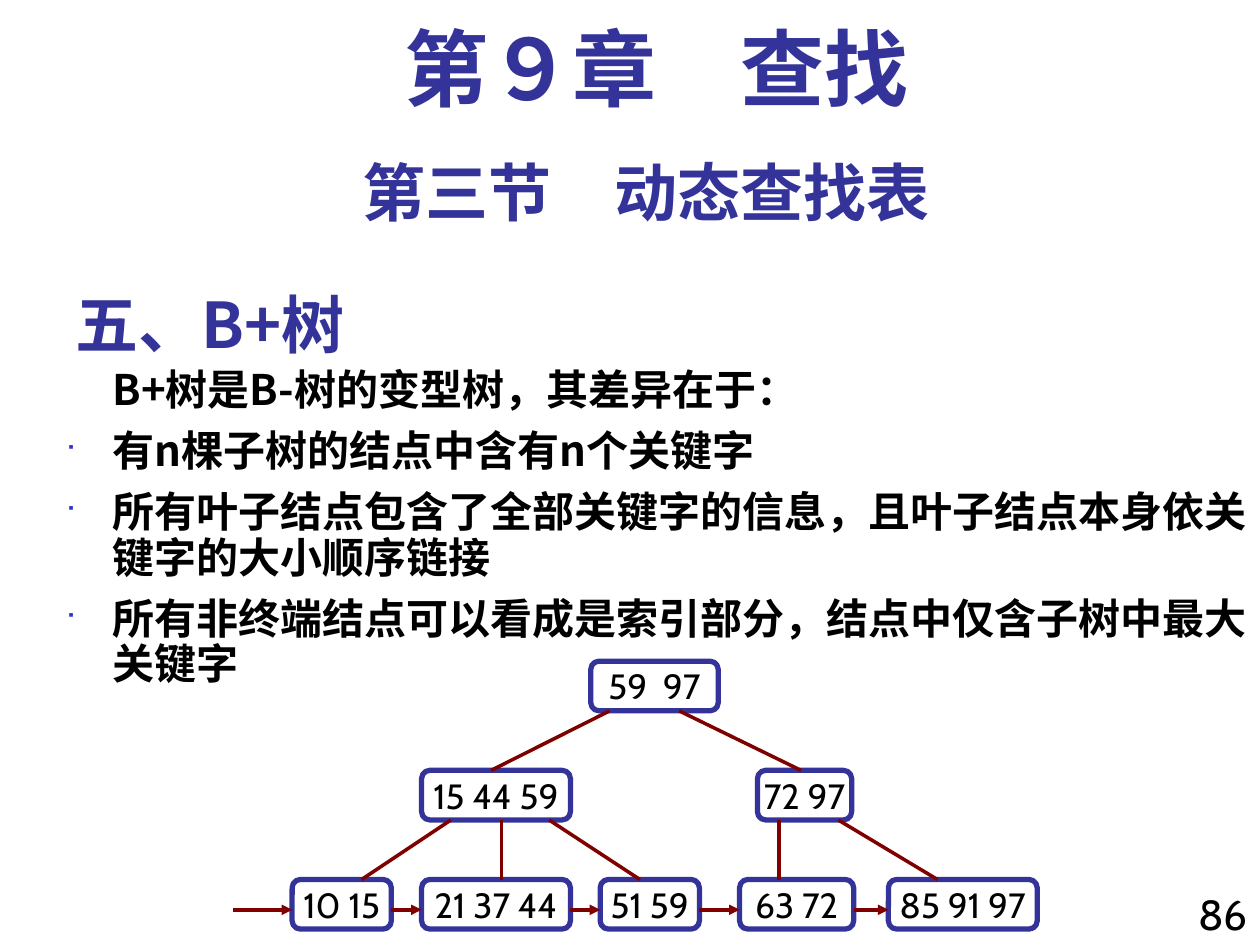
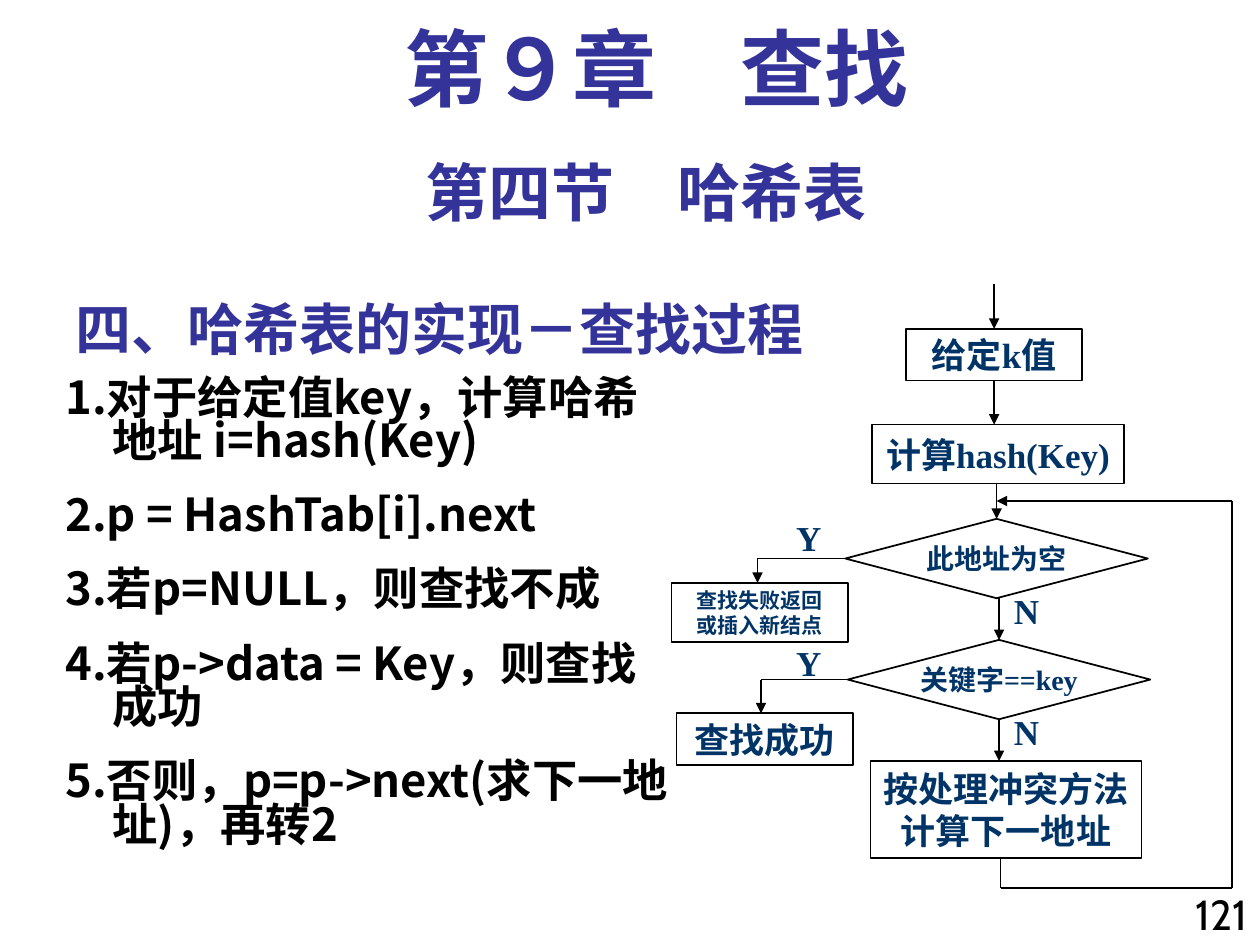
from itertools import pairwise

from lxml.etree import SubElement
from pptx import Presentation
from pptx.dml.color import RGBColor
from pptx.enum.shapes import MSO_CONNECTOR, MSO_SHAPE
from pptx.enum.text import MSO_ANCHOR, MSO_AUTO_SIZE, PP_ALIGN
from pptx.oxml.ns import qn
from pptx.util import Cm, Pt

COLORS = {
    "heading": "333399",
    "body": "000000",
    "bullet": "3333CC",
    "branch": "800000",
    "flow_text": "003366",
    "flow_line": "000000",
}
SANS, SERIF, CHINESE = "Cabin", "Times New Roman", "Noto Sans CJK SC"
CHAPTER = "第９章　查找"

TREE_SLIDE = {
    "section": "第三节　动态查找表",
    "title": "五、B+树",
    "title_size": 36,
    "title_width": 17.35,
    "number": "86",
}
TREE_INTRO = "B+树是B-树的变型树，其差异在于："
TREE_RULES = [
    "有n棵子树的结点中含有n个关键字",
    "所有叶子结点包含了全部关键字的信息，且叶子结点本身依关键字的大小顺序链接",
    "所有非终端结点可以看成是索引部分，结点中仅含子树中最大关键字",
]
TREE_TOP, LEVEL_STEP, NODE_HEIGHT = 13.33, 2.2, 1.0
TREE_LEVELS = [
    [("59  97", 11.91, 2.57)],
    [("15 44 59", 8.5, 3.0), ("72 97", 15.27, 1.9)],
    [
        ("10 15", 5.89, 2.0),
        ("21 37 44", 8.5, 3.0),
        ("51 59", 12.1, 2.0),
        ("63 72", 14.91, 2.3),
        ("85 91 97", 17.91, 3.0),
    ],
]
BRANCHES = [
    [(12.29, 9.9), (13.69, 16.15)],
    [(9.09, 7.29), (10.11, 10.11), (11.07, 12.9), (15.7, 15.7), (16.9, 18.9)],
]
LEAF_CHAIN_START = 4.7

HASH_SLIDE = {
    "section": "第四节　哈希表",
    "title": "四、哈希表的实现－查找过程",
    "title_size": 32,
    "title_width": 23.5,
    "number": "121",
}
HASH_STEPS = [
    "1.对于给定值key，计算哈希地址 i=hash(Key)",
    "2.p = HashTab[i].next",
    "3.若p=NULL，则查找不成",
    "4.若p->data = Key，则查找成功",
    "5.否则，p=p->next(求下一地址)，再转2",
]
PROCESS, DECISION = MSO_SHAPE.FLOWCHART_PROCESS, MSO_SHAPE.FLOWCHART_DECISION
FLOW_NODES = [
    (PROCESS, ["给定k值"], (18.26, 6.63, 3.56, 1.04), 20),
    (PROCESS, ["计算hash(Key)"], (17.58, 8.56, 5.08, 1.19), 20),
    (DECISION, ["此地址为空"], (17.04, 10.46, 6.1, 1.6), 16),
    (DECISION, ["关键字==key"], (17.09, 12.9, 6.1, 1.6), 16),
    (PROCESS, ["查找失败返回", "或插入新结点"], (13.54, 11.75, 3.56, 1.2), 12),
    (PROCESS, ["查找成功"], (13.64, 14.38, 3.56, 1.04), 20),
    (PROCESS, ["按处理冲突方法", "计算下一地址"], (17.55, 15.34, 5.46, 1.96), 20),
]
FLOW_ROUTES = [
    [(20.04, 5.72), (20.04, 6.63)],
    [(20.04, 7.67), (20.04, 8.56)],
    [(20.09, 9.75), (20.09, 10.46)],
    [(20.14, 12.06), (20.14, 12.9)],
    [(20.14, 14.5), (20.14, 15.34)],
    [(17.04, 11.26), (15.27, 11.26), (15.27, 11.75)],
    [(17.09, 13.7), (15.34, 13.7), (15.34, 14.38)],
    [(20.17, 17.3), (20.17, 17.9), (24.84, 17.9), (24.84, 10.1), (20.09, 10.1)],
]
FLOW_LABELS = [("Y", 15.8, 10.29), ("N", 20.19, 11.76),
               ("Y", 15.8, 12.8), ("N", 20.19, 14.2)]


def color(name):
    return RGBColor.from_string(COLORS[name])


def write(shape, lines, *, size, font=CHINESE, ink="body", bold=False, align=PP_ALIGN.LEFT,
          anchor=MSO_ANCHOR.TOP, wrap=True, spacing=None, before=0, hanging=0, bullets=()):
    frame = shape.text_frame
    frame.word_wrap = wrap
    frame.auto_size = MSO_AUTO_SIZE.NONE
    frame.vertical_anchor = anchor
    for index, line in enumerate(lines):
        para = frame.add_paragraph() if index else frame.paragraphs[0]
        bulleted = index in bullets
        if hanging:
            properties = para._p.get_or_add_pPr()
            properties.set("marL", str(Cm(hanging)))
            properties.set("indent", str(0 if bullets and not bulleted else -Cm(hanging)))
        if bulleted:
            tint = SubElement(properties, qn("a:buClr"))
            SubElement(tint, qn("a:srgbClr"), val=COLORS["bullet"])
            SubElement(properties, qn("a:buSzPct"), val="60000")
            SubElement(properties, qn("a:buFont"), typeface="Wingdings")
            SubElement(properties, qn("a:buChar"), char="■")
        para.alignment = align
        if spacing:
            para.line_spacing = spacing
        if index and before:
            para.space_before = Pt(before)
        span = para.add_run()
        span.text = line
        span.font.size = Pt(size)
        span.font.bold = bold
        span.font.color.rgb = color(ink)
        span.font.name = font
        SubElement(span._r.get_or_add_rPr(), qn("a:ea"), typeface=CHINESE)


def add_text(page, lines, place, **text_format):
    box = page.shapes.add_textbox(*map(Cm, place))
    write(box, lines, **text_format)


def add_node(page, kind, lines, place, *, line_color, line_width, **text_format):
    node = page.shapes.add_shape(kind, *map(Cm, place))
    node.shadow.inherit = False
    node.fill.background()
    node.line.color.rgb = color(line_color)
    node.line.width = Pt(line_width)
    write(node, lines, align=PP_ALIGN.CENTER, anchor=MSO_ANCHOR.MIDDLE, wrap=False, **text_format)


def add_line(page, start, end, *, line_color, line_width, arrow=False):
    line = page.shapes.add_connector(MSO_CONNECTOR.STRAIGHT, *map(Cm, (*start, *end)))
    line.line.color.rgb = color(line_color)
    line.line.width = Pt(line_width)
    if arrow:
        SubElement(line.line._get_or_add_ln(), qn("a:tailEnd"), type="triangle")
    SubElement(line._element.spPr, qn("a:effectLst"))


def add_page(deck, content):
    page = deck.slides.add_slide(deck.slide_layouts[5])
    title = page.shapes.title
    title.left, title.top = Cm(1.27), Cm(5.51)
    title.width, title.height = Cm(content["title_width"]), Cm(1.9)
    write(title, [content["title"]], size=content["title_size"], ink="heading", bold=True,
          anchor=MSO_ANCHOR.BOTTOM)
    add_text(page, [CHAPTER], (1.7, 0.43, 23.06, 2.11), size=48, font=SERIF, ink="heading",
             bold=True, align=PP_ALIGN.CENTER, spacing=0.9)
    add_text(page, [content["section"]], (1.27, 2.97, 23.5, 1.78), size=36, font=SANS,
             ink="heading", bold=True, align=PP_ALIGN.CENTER)
    add_text(page, [content["number"]], (23.06, 17.78, 2.34, 1.27), size=24, font=SANS,
             align=PP_ALIGN.RIGHT)
    return page


def build_tree_page(deck):
    page = add_page(deck, TREE_SLIDE)
    add_text(page, [TREE_INTRO, *TREE_RULES], (1.07, 7.32, 24.33, 11.73), size=24, bold=True,
             spacing=0.9, before=9, hanging=0.95, bullets=range(1, len(TREE_RULES) + 1))
    tops = [TREE_TOP + LEVEL_STEP * level for level in range(len(TREE_LEVELS))]
    for top, nodes in zip(tops, TREE_LEVELS):
        for keys, left, width in nodes:
            add_node(page, MSO_SHAPE.ROUNDED_RECTANGLE, [keys], (left, top, width, NODE_HEIGHT),
                     line_color="heading", line_width=3, size=20, font=SANS)
    stroke = {"line_color": "branch", "line_width": 2}
    for (top, next_top), branches in zip(pairwise(tops), BRANCHES):
        for parent, child in branches:
            add_line(page, (parent, top + NODE_HEIGHT), (child, next_top), **stroke)
    chain_y = tops[-1] + 0.61
    chain_x = LEAF_CHAIN_START
    for _, left, width in TREE_LEVELS[-1]:
        add_line(page, (chain_x, chain_y), (left, chain_y), arrow=True, **stroke)
        chain_x = left + width


def build_hash_page(deck):
    page = add_page(deck, HASH_SLIDE)
    add_text(page, HASH_STEPS, (1.07, 7.52, 12.7, 11.53), size=25.9, bold=True,
             spacing=0.8, before=17.5, hanging=0.95)
    flow_text = {"font": SERIF, "ink": "flow_text", "bold": True}
    stroke = {"line_color": "flow_line", "line_width": 1}
    for kind, lines, place, size in FLOW_NODES:
        add_node(page, kind, lines, place, size=size, **stroke, **flow_text)
    for route in FLOW_ROUTES:
        for start, end in pairwise(route):
            add_line(page, start, end, arrow=end == route[-1], **stroke)
    for label, left, top in FLOW_LABELS:
        add_text(page, [label], (left, top, 1.02, 1.12), size=20, wrap=False, **flow_text)


def main():
    deck = Presentation()
    deck.slide_width, deck.slide_height = Cm(25.4), Cm(19.05)
    build_tree_page(deck)
    build_hash_page(deck)
    deck.save("out.pptx")


if __name__ == "__main__":
    main()
